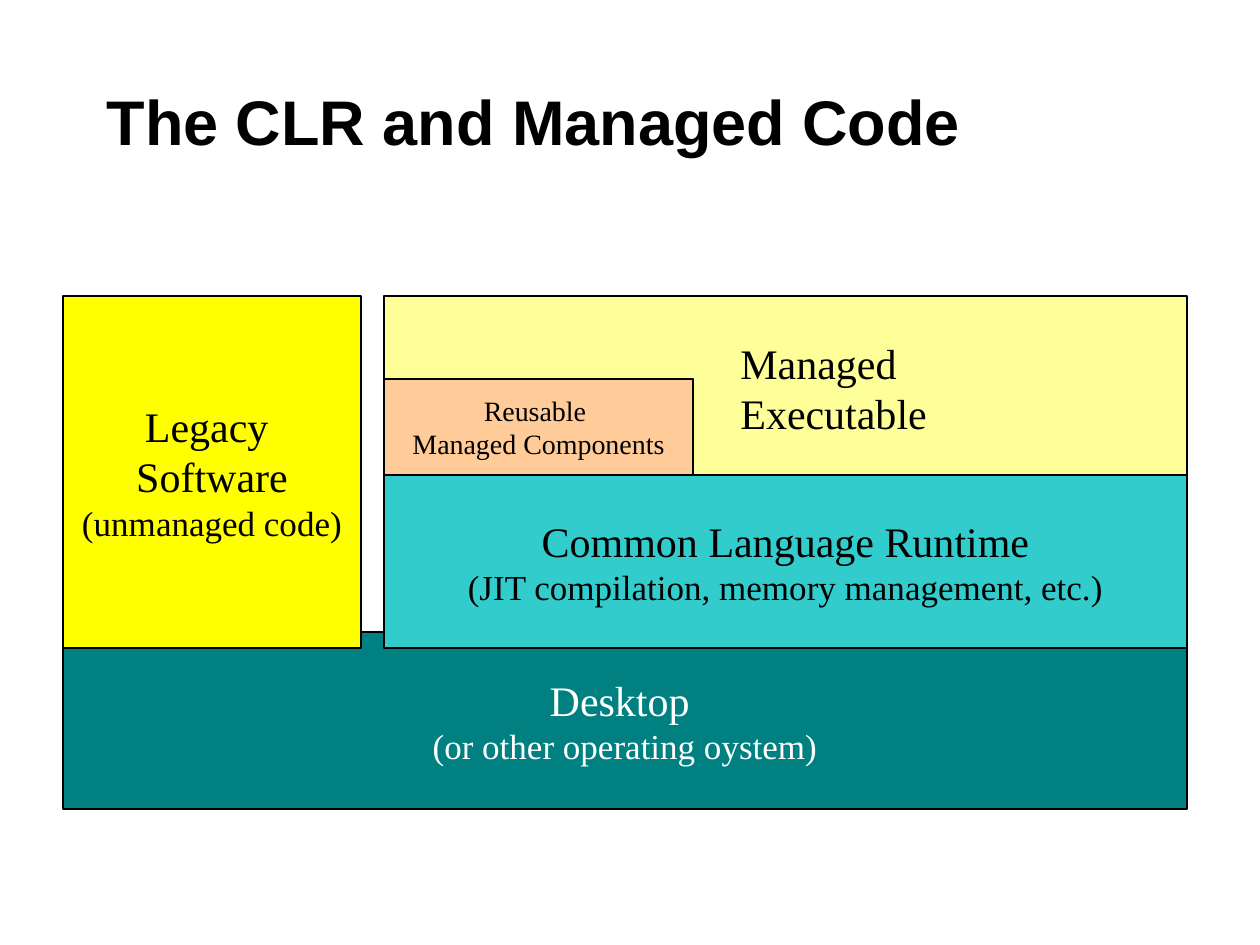
from pptx import Presentation
from pptx.dml.color import RGBColor
from pptx.enum.shapes import MSO_SHAPE
from pptx.enum.text import MSO_ANCHOR, MSO_AUTO_SIZE, PP_ALIGN
from pptx.util import Emu, Pt

EMU_PER_PX = 914400 / 126
BLACK = RGBColor(0x00, 0x00, 0x00)
WHITE = RGBColor(0xFF, 0xFF, 0xFF)
TEAL = RGBColor(0x00, 0x80, 0x80)
TURQUOISE = RGBColor(0x33, 0xCC, 0xCC)
YELLOW = RGBColor(0xFF, 0xFF, 0x00)
PALE_YELLOW = RGBColor(0xFF, 0xFF, 0x99)
PEACH = RGBColor(0xFF, 0xCC, 0x99)

LEFT, RIGHT = 63, 1187
TOP, BOTTOM = 296, 809
MANAGED_LEFT = 384
RUNTIME_TOP, RUNTIME_BOTTOM = 475, 648
COMPONENTS_TOP, COMPONENTS_RIGHT = 379, 693


def px(length):
    return Emu(round(length * EMU_PER_PX))


def set_font(paragraph, size, color, name="Times New Roman", bold=False):
    font = paragraph.font
    font.name = name
    font.size = Pt(size)
    font.bold = bold
    font.color.rgb = color


def write_lines(frame, lines, color, alignment):
    for index, (text, size) in enumerate(lines):
        paragraph = frame.add_paragraph() if index else frame.paragraphs[0]
        paragraph.text = text
        paragraph.alignment = alignment
        set_font(paragraph, size, color)


def paint(shape, fill):
    shape.shadow.inherit = False
    shape.fill.solid()
    shape.fill.fore_color.rgb = fill
    shape.line.color.rgb = BLACK
    shape.line.width = Pt(0.75)


def add_layer(slide, left, top, right, bottom, fill, lines, color=BLACK):
    shape = slide.shapes.add_shape(
        MSO_SHAPE.RECTANGLE, px(left), px(top), px(right - left), px(bottom - top))
    paint(shape, fill)
    frame = shape.text_frame
    frame.word_wrap = False
    frame.vertical_anchor = MSO_ANCHOR.MIDDLE
    write_lines(frame, lines, color, PP_ALIGN.CENTER)


def add_outline(slide, points, fill):
    builder = slide.shapes.build_freeform(*points[0], scale=EMU_PER_PX)
    builder.add_line_segments(points[1:], close=True)
    paint(builder.convert_to_shape(), fill)


def add_label(slide, left, top, width, height, text, size):
    box = slide.shapes.add_textbox(px(left), px(top), px(width), px(height))
    frame = box.text_frame
    frame.word_wrap = False
    frame.auto_size = MSO_AUTO_SIZE.SHAPE_TO_FIT_TEXT
    write_lines(frame, [(text, size)], BLACK, PP_ALIGN.LEFT)


def set_title(slide, text):
    title = slide.shapes.title
    title.left, title.top, title.width, title.height = px(94), px(42), px(1071), px(157)
    frame = title.text_frame
    frame.text = text
    frame.word_wrap = True
    frame.vertical_anchor = MSO_ANCHOR.MIDDLE
    paragraph = frame.paragraphs[0]
    paragraph.alignment = PP_ALIGN.LEFT
    set_font(paragraph, 36, BLACK, "Arial", bold=True)


def main():
    presentation = Presentation()
    presentation.slide_width, presentation.slide_height = px(1260), px(945)
    slide = presentation.slides.add_slide(presentation.slide_layouts[5])
    set_title(slide, "The CLR and Managed Code")

    add_layer(slide, LEFT, 632, RIGHT, BOTTOM, TEAL,
              [("Desktop ", 24), ("(or other operating oystem)", 20)], WHITE)
    add_layer(slide, MANAGED_LEFT, RUNTIME_TOP, RIGHT, RUNTIME_BOTTOM, TURQUOISE,
              [("Common Language Runtime", 24),
               ("(JIT compilation, memory management, etc.)", 20)])
    add_layer(slide, LEFT, TOP, 361, RUNTIME_BOTTOM, YELLOW,
              [("Legacy ", 24), ("Software", 24), ("(unmanaged code)", 20)])
    add_outline(slide, [(MANAGED_LEFT, TOP), (RIGHT, TOP), (RIGHT, RUNTIME_TOP),
                        (COMPONENTS_RIGHT, RUNTIME_TOP),
                        (COMPONENTS_RIGHT, COMPONENTS_TOP),
                        (MANAGED_LEFT, COMPONENTS_TOP)], PALE_YELLOW)
    add_label(slide, 728, 331, 378, 63, "Managed Executable", 24)
    add_layer(slide, MANAGED_LEFT, COMPONENTS_TOP, COMPONENTS_RIGHT, RUNTIME_TOP, PEACH,
              [("Reusable ", 16), ("Managed Components", 16)])

    presentation.save("out.pptx")


if __name__ == "__main__":
    main()
